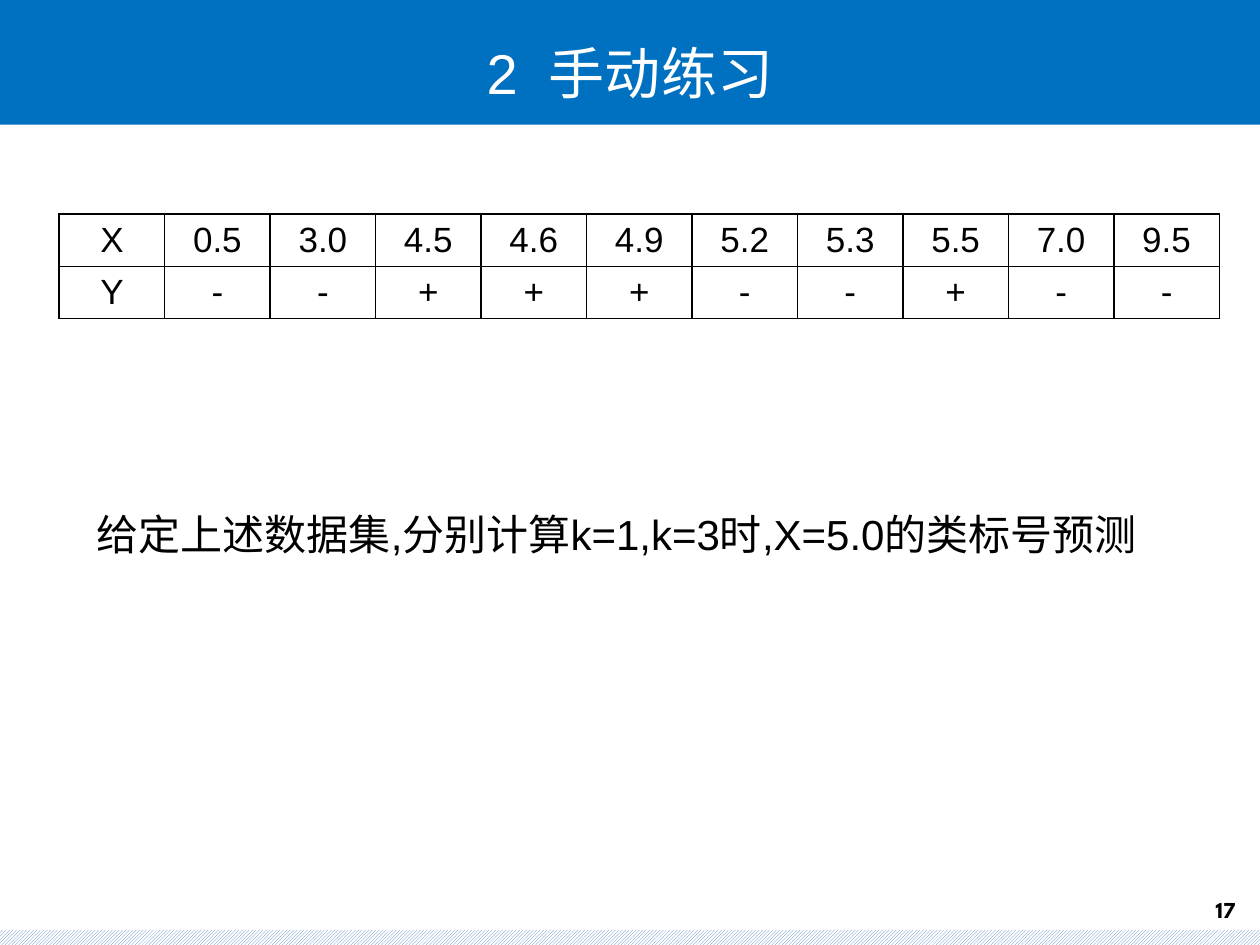
from lxml import etree
from pptx import Presentation
from pptx.dml.color import RGBColor
from pptx.enum.dml import MSO_PATTERN
from pptx.enum.shapes import MSO_SHAPE
from pptx.enum.text import MSO_ANCHOR, MSO_AUTO_SIZE, PP_ALIGN
from pptx.oxml.ns import qn
from pptx.util import Inches, Pt

COLORS = {"header": "0070C0", "stripe": "4F81BD", "white": "FFFFFF", "black": "000000"}
SAMPLES = [
    ["X", "0.5", "3.0", "4.5", "4.6", "4.9", "5.2", "5.3", "5.5", "7.0", "9.5"],
    ["Y", "-", "-", "+", "+", "+", "-", "-", "+", "-", "-"],
]


def rgb(name):
    return RGBColor.from_string(COLORS[name])


def write(tf, text, size, color="black", align=PP_ALIGN.LEFT, font="Arial", bold=False):
    p = tf.paragraphs[0]
    p.alignment = align
    r = p.add_run()
    r.text = text
    for name, value in {"name": font, "size": Pt(size), "bold": bold}.items():
        setattr(r.font, name, value)
    r.font.color.rgb = rgb(color)
    return p


def add_rect(s, box):
    sp = s.shapes.add_shape(MSO_SHAPE.RECTANGLE, *map(Inches, box))
    sp.shadow.inherit = False
    sp.line.fill.background()
    return sp


def add_header(s, bar, box):
    sp = add_rect(s, bar)
    sp.fill.solid()
    sp.fill.fore_color.rgb = rgb("header")

    # Title over the bar
    tf = s.shapes.add_textbox(*map(Inches, box)).text_frame
    tf.word_wrap = True
    tf.vertical_anchor = MSO_ANCHOR.MIDDLE
    p = write(tf, "2  手动练习", 32, "white", PP_ALIGN.CENTER)
    p.line_spacing = Pt(50)
    p.space_before = Pt(12)


def add_borders(cell):
    tcPr = cell._tc.get_or_add_tcPr()
    for i, side in enumerate(("lnL", "lnR", "lnT", "lnB")):
        ln = etree.Element(qn(f"a:{side}"), w=str(Pt(1)))
        fill = etree.SubElement(ln, qn("a:solidFill"))
        etree.SubElement(fill, qn("a:srgbClr"), val=COLORS["black"])
        tcPr.insert(i, ln)


def add_samples(s, box):
    rows, cols = len(SAMPLES), len(SAMPLES[0])
    x, y, w, h = map(Inches, box)
    table = s.shapes.add_table(rows, cols, x, y, w, h).table
    table.first_row = table.horz_banding = False
    for col in table.columns:
        col.width = w // cols
    for row, values in zip(table.rows, SAMPLES):
        row.height = h // rows
        for cell, value in zip(row.cells, values):
            cell.fill.background()
            cell.vertical_anchor = MSO_ANCHOR.MIDDLE
            cell.margin_top = cell.margin_bottom = Inches(0.04)
            write(cell.text_frame, value, 20, align=PP_ALIGN.CENTER)
            add_borders(cell)


def add_question(s, box):
    sp = add_rect(s, box)
    sp.fill.background()
    sp.line.color.rgb = rgb("white")
    sp.line.width = Pt(0.75)
    tf = sp.text_frame
    tf.word_wrap = True
    tf.auto_size = MSO_AUTO_SIZE.SHAPE_TO_FIT_TEXT
    tf.vertical_anchor = MSO_ANCHOR.TOP
    write(tf, "给定上述数据集,分别计算k=1,k=3时,X=5.0的类标号预测", 24)


def add_footer(s, strip, box):
    # Hatched strip
    fill = add_rect(s, strip).fill
    fill.patterned()
    fill.pattern = MSO_PATTERN.LIGHT_UPWARD_DIAGONAL
    fill.fore_color.rgb = rgb("stripe")
    fill.back_color.rgb = rgb("white")

    # Page number
    tf = s.shapes.add_textbox(*map(Inches, box)).text_frame
    tf.word_wrap = False
    tf.auto_size = MSO_AUTO_SIZE.SHAPE_TO_FIT_TEXT
    write(tf, "17", 13, font="League Spartan", bold=True)


def main():
    prs = Presentation()
    prs.slide_width, prs.slide_height = Inches(10), Inches(7.5)
    s = prs.slides.add_slide(prs.slide_layouts[6])
    add_footer(s, (0, 7.38, 10, 0.12), (9.55, 7.06, 0.4, 0.32))
    add_header(s, (0, -0.11, 10, 1.1), (0.5, 0.13, 9, 0.73))
    add_samples(s, (0.47, 1.7, 9.21, 0.82))
    add_question(s, (0.67, 3.99, 8.51, 0.5))
    prs.save("out.pptx")


if __name__ == "__main__":
    main()
